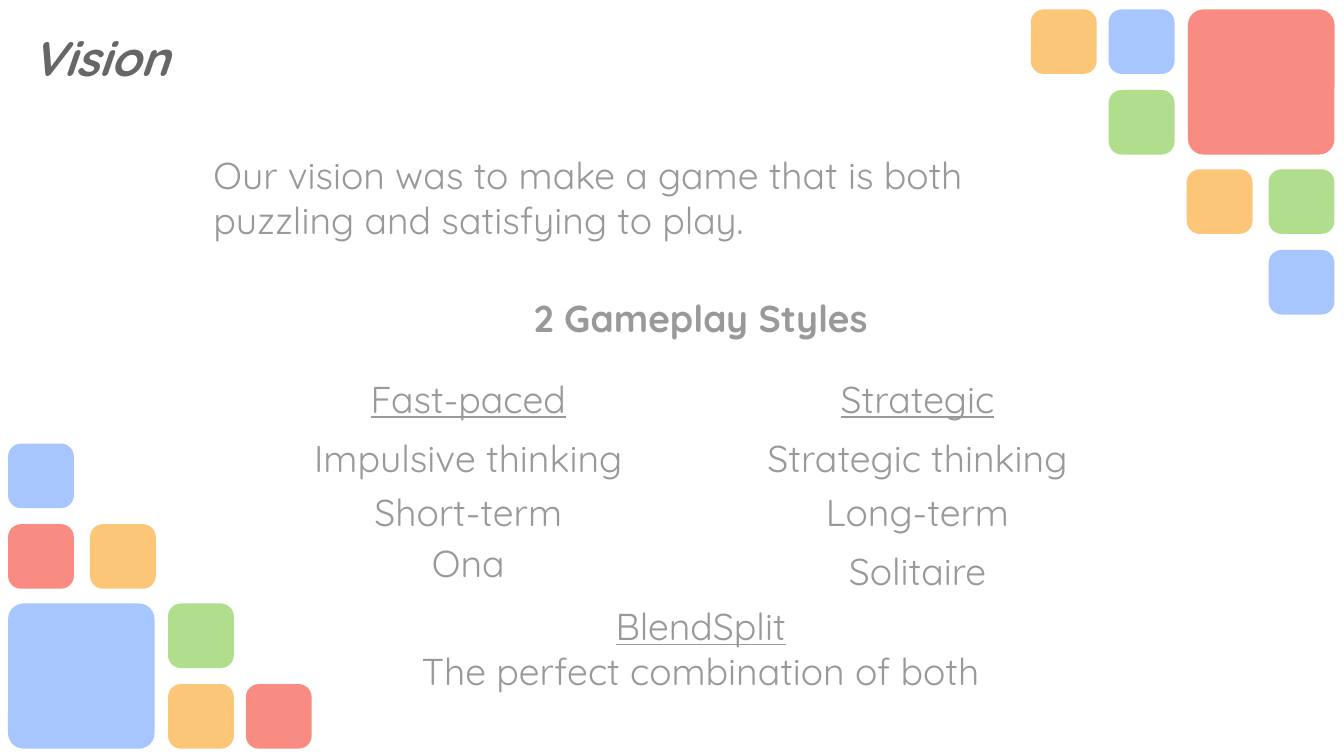
from pptx import Presentation
from pptx.dml.color import RGBColor
from pptx.enum.shapes import MSO_SHAPE
from pptx.enum.text import MSO_ANCHOR, MSO_AUTO_SIZE, PP_ALIGN
from pptx.util import Pt

ROUNDED = MSO_SHAPE.ROUNDED_RECTANGLE
TOP = MSO_ANCHOR.TOP
GROW = MSO_AUTO_SIZE.SHAPE_TO_FIT_TEXT
LEFT, CENTER = PP_ALIGN.LEFT, PP_ALIGN.CENTER

BLUE = RGBColor(0xA8, 0xC6, 0xFE)
RED = RGBColor(0xF8, 0x8C, 0x83)
ORANGE = RGBColor(0xFB, 0xC6, 0x77)
GREEN = RGBColor(0xB1, 0xDE, 0x8C)
DARK_GRAY = RGBColor(0x66, 0x66, 0x66)
GRAY = RGBColor(0x99, 0x99, 0x99)
FONT = "Quicksand"

TILE_LEFTS = (0, 43.9, 85.7, 127.4)
TILE_TOPS = (0, 43.2, 85.7, 128.9)
TILE_SIZE = (35.3, 34.6)
BIG_SIZE = (78.5, 77.8)
CORNER_SIZE = (162.7, 163.5)
TILE_CELLS = ((3, 3), (2, 3), (2, 2), (0, 0), (0, 1), (1, 1))
LINE_HEIGHT = 38.9


def place(shape, left, top, width, height):
    shape.left, shape.top = Pt(left), Pt(top)
    shape.width, shape.height = Pt(width), Pt(height)


def write(shape, text, size=20, color=GRAY, align=CENTER):
    frame = shape.text_frame
    frame.text = text
    frame.word_wrap = True
    frame.auto_size = GROW
    frame.vertical_anchor = TOP
    frame.margin_left = frame.margin_right = Pt(7.2)
    frame.margin_top = frame.margin_bottom = Pt(7.2)
    for para in frame.paragraphs:
        para.alignment = align
        for span in para.runs:
            span.font.name = FONT
            span.font.size = Pt(size)
            span.font.color.rgb = color
    return frame.paragraphs[0].runs[0].font


def add_text(page, text, left, top, width, height=LINE_HEIGHT, align=CENTER):
    box = page.shapes.add_textbox(Pt(left), Pt(top), Pt(width), Pt(height))
    return write(box, text, align=align)


def add_corner(page, left, top, big_color, tile_colors, turned=False):
    blocks = [(0, TILE_TOPS[2], BIG_SIZE, 0.107, big_color)]
    for (column, row), color in zip(TILE_CELLS, tile_colors):
        blocks.append((TILE_LEFTS[column], TILE_TOPS[row], TILE_SIZE, 0.2, color))
    for x, y, (width, height), rounding, color in blocks:
        if turned:
            x = CORNER_SIZE[0] - x - width
            y = CORNER_SIZE[1] - y - height
        block = page.shapes.add_shape(
            ROUNDED, Pt(left + x), Pt(top + y), Pt(width), Pt(height))
        block.adjustments[0] = rounding
        block.rotation = 180 if turned else 0
        block.fill.solid()
        block.fill.fore_color.rgb = color
        block.line.fill.background()
        block.shadow.inherit = False


def add_title(page, left, top, width, height):
    title = page.shapes.title
    place(title, left, top, width, height)
    font = write(title, "Vision", 26, DARK_GRAY, LEFT)
    font.bold = font.italic = True


def add_style(page, left, top, width, heading, traits):
    add_text(page, heading, left, top, width).underline = True
    for text, offset in traits:
        add_text(page, text, left, top + offset, width)


def add_body(page, left, top):
    add_text(page, "Our vision was to make a game that is both puzzling "
             "and satisfying to play.", left, top, 424, 63.4, LEFT)
    add_text(page, "2 Gameplay Styles", left + 56.1, top + 77, 424).bold = True
    add_style(page, left + 30.2, top + 120.2, 226.8, "Fast-paced",
              (("Impulsive thinking", 31.7), ("Short-term", 60.5), ("Ona", 87.8)))
    add_style(page, left + 270.8, top + 120.2, 226.8, "Strategic",
              (("Strategic thinking", 31.7), ("Long-term", 60.5), ("Solitaire", 92.2)))
    add_text(page, "BlendSplit\nThe perfect combination of both",
             left + 56.1, top + 241.9, 424, 63.4).underline = True


def main():
    deck = Presentation()
    deck.slide_width, deck.slide_height = Pt(720), Pt(405)
    page = deck.slides.add_slide(deck.slide_layouts[5])
    add_corner(page, 4.3, 237.6, BLUE, (RED, ORANGE, GREEN, BLUE, RED, ORANGE))
    add_corner(page, 552.2, 5, RED,
               (ORANGE, BLUE, GREEN, BLUE, GREEN, ORANGE), turned=True)
    add_title(page, 9.4, 7.9, 211.7, 46.1)
    add_body(page, 107.3, 74.2)
    deck.save("out.pptx")


if __name__ == "__main__":
    main()
